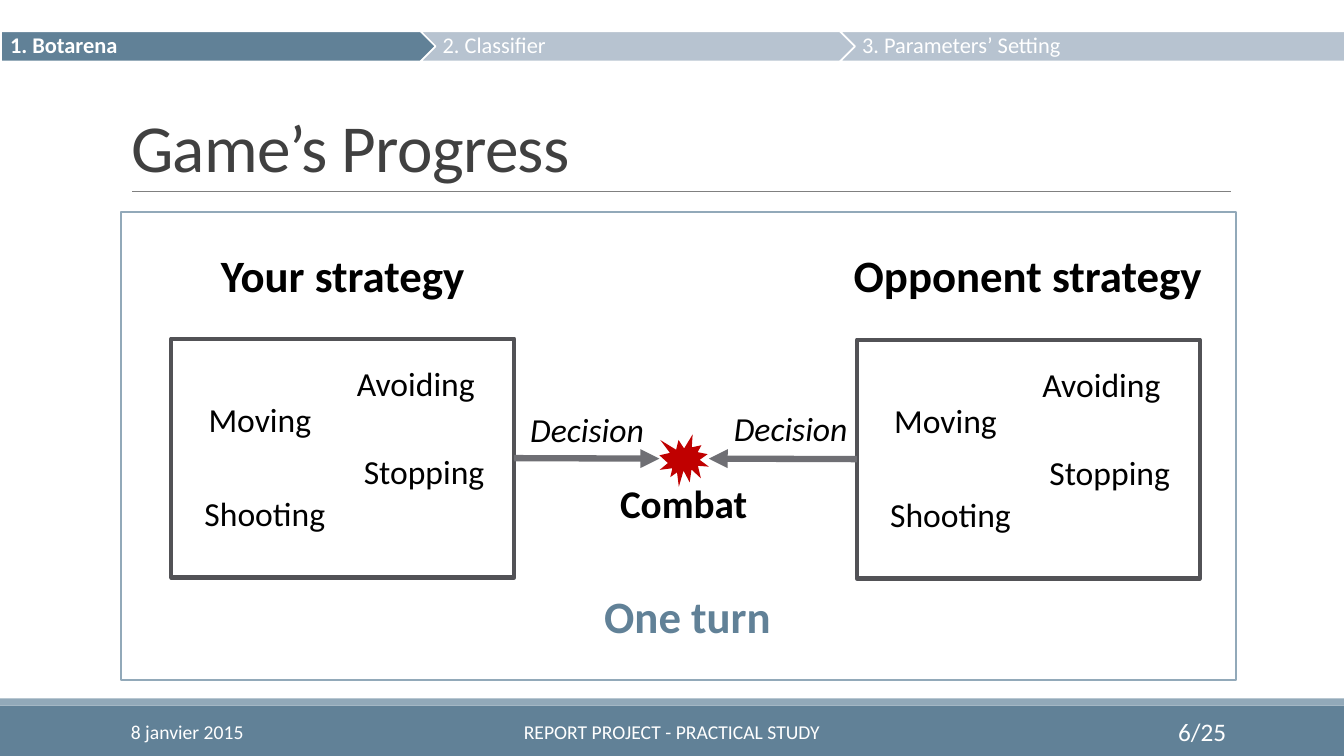
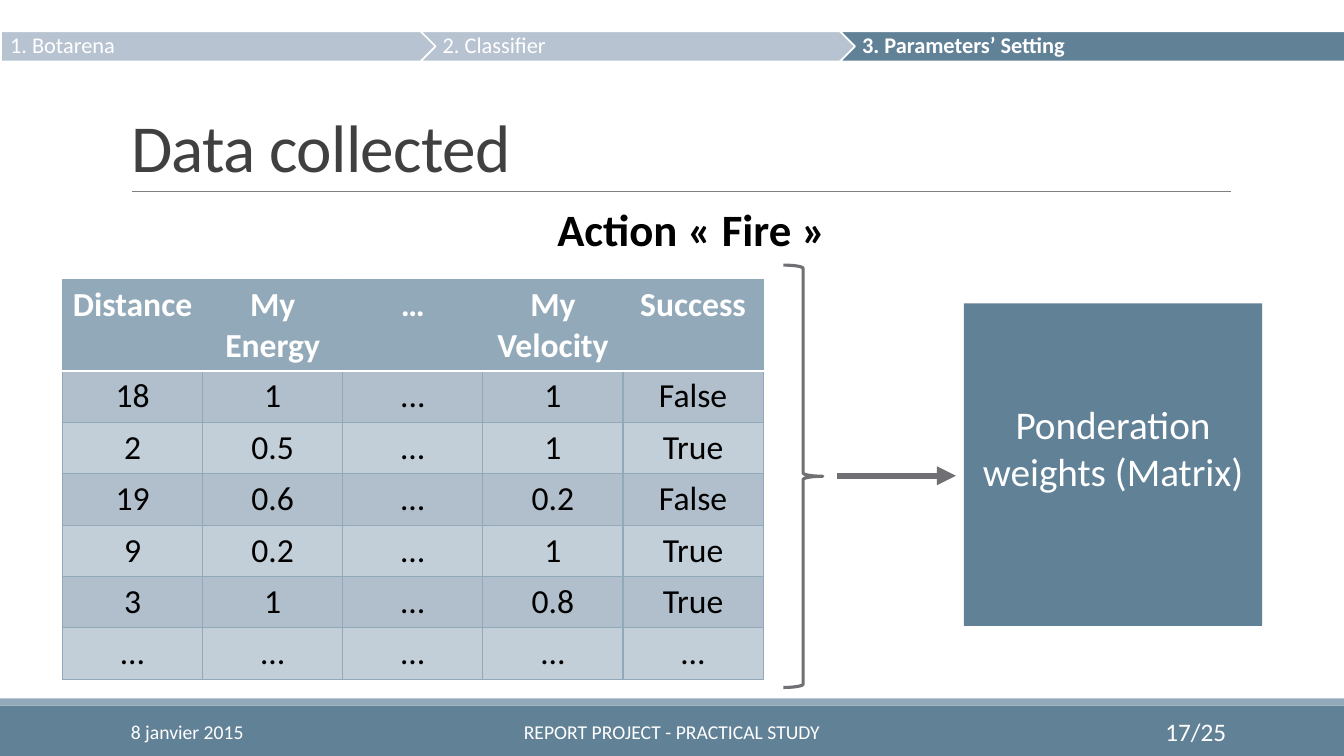
import dataclasses

import lxml.etree
import pptx
import pptx.dml.color
import pptx.enum.shapes
import pptx.enum.text
import pptx.oxml.ns
import pptx.util

SHAPE = pptx.enum.shapes.MSO_SHAPE
ALIGN = pptx.enum.text.PP_ALIGN
ANCHOR = pptx.enum.text.MSO_ANCHOR
EMU_PER_PX = 9144


@dataclasses.dataclass(frozen=True)
class Theme:
    font: str = "Calibri"
    accent: str = "618197"
    accent_mid: str = "92A9B9"
    accent_pale: str = "B7C3D0"
    row_dark: str = "B0BFCB"
    row_light: str = "C3CFD8"
    title: str = "404040"
    text: str = "000000"
    white: str = "FFFFFF"
    rule: str = "808080"
    arrow: str = "6F6F74"
    box: str = "525256"
    burst: str = "C00000"
    title_size: int = 48
    heading_size: int = 32
    label_size: int = 28
    body_size: int = 24
    page_size: int = 18
    step_size: int = 16
    footer_size: int = 14


THEME = Theme()
STEPS = ["1. Botarena", "2. Classifier", "3. Parameters’ Setting"]
MOVES = [("Moving", 27, 55, 127), ("Avoiding", 174, 19, 155),
         ("Stopping", 181, 106, 157), ("Shooting", 23, 148, 157)]
SAMPLES = [
    ["Distance", "My Energy", "…", "My\nVelocity", "Success"],
    ["18", "1", "...", "1", "False"],
    ["2", "0.5", "…", "1", "True"],
    ["19", "0.6", "…", "0.2", "False"],
    ["9", "0.2", "…", "1", "True"],
    ["3", "1", "…", "0.8", "True"],
    ["…"] * 5,
]


def px(*values):
    return [pptx.util.Emu(v * EMU_PER_PX) for v in values]


def rgb(value):
    return pptx.dml.color.RGBColor.from_string(value)


def sub(parent, tag, **attrs):
    return lxml.etree.SubElement(parent, pptx.oxml.ns.qn(tag), attrs)


def write(tf, text, size, color, align=ALIGN.LEFT, bold=False, italic=False):
    tf.text = text
    for p in tf.paragraphs:
        p.alignment = align
        for r in p.runs:
            r.font.name = THEME.font
            r.font.size = pptx.util.Pt(size)
            r.font.color.rgb = rgb(color)
            r.font.bold = bold
            r.font.italic = italic


def add_text(s, box, text, size, color=THEME.text, anchor=ANCHOR.TOP, **style):
    tf = s.shapes.add_textbox(*px(*box)).text_frame
    tf.word_wrap = True
    tf.vertical_anchor = anchor
    write(tf, text, size, color, **style)


def add_shape(s, kind, box, fill=None, line=None, width=1.25):
    sp = s.shapes.add_shape(kind, *px(*box))
    sp.shadow.inherit = False
    if fill:
        sp.fill.solid()
        sp.fill.fore_color.rgb = rgb(fill)
    else:
        sp.fill.background()
    if line:
        sp.line.color.rgb = rgb(line)
        sp.line.width = pptx.util.Pt(width)
    else:
        sp.line.fill.background()
    return sp


def add_line(s, ends, color, width, arrow=False):
    line = s.shapes.add_connector(
        pptx.enum.shapes.MSO_CONNECTOR.STRAIGHT, *px(*ends))
    line.line.color.rgb = rgb(color)
    line.line.width = pptx.util.Pt(width)
    if arrow:
        ln = line.element.find(".//" + pptx.oxml.ns.qn("a:ln"))
        sub(ln, "a:tailEnd", type="triangle")
    sub(line.element.spPr, "a:effectLst")
    return line


def decorate_layout(prs, layout):
    title = layout.placeholders[0]
    title.left, title.top, title.width, title.height = px(120, 31, 1100, 159)
    s = prs.slides[0]
    parts = [
        add_shape(s, SHAPE.RECTANGLE, (0, 700, 1333, 50), THEME.accent),
        add_shape(s, SHAPE.RECTANGLE, (0, 693, 1333, 7), THEME.accent_mid),
        add_line(s, (131, 190, 1221, 190), THEME.rule, 0.5),
    ]
    for part in parts:
        layout.shapes.element.append(part.element)


def add_title(s, text):
    tf = s.shapes.title.text_frame
    tf.auto_size = pptx.enum.text.MSO_AUTO_SIZE.NONE
    tf.vertical_anchor = ANCHOR.BOTTOM
    write(tf, text, THEME.title_size, THEME.title)
    tf.paragraphs[0].line_spacing = 0.85
    for props in s.shapes.title.element.iter(pptx.oxml.ns.qn("a:rPr")):
        props.set("spc", "-50")


def add_footer(s, page):
    for left, width, text, size, align in [
        (120, 270, "8 janvier 2015", THEME.footer_size, ALIGN.LEFT),
        (403, 527, "REPORT PROJECT - PRACTICAL STUDY", THEME.footer_size, ALIGN.CENTER),
        (1083, 143, f"{page}/25", THEME.page_size, ALIGN.RIGHT),
    ]:
        add_text(s, (left, 706, width, 40), text, size, THEME.white,
                 ANCHOR.MIDDLE, align=align)


def add_steps(s, current):
    for i, step in enumerate(STEPS):
        active = i == current
        sp = add_shape(s, SHAPE.CHEVRON if i else SHAPE.PENTAGON,
                       (1 + 416 * i, 31, 519, 30),
                       THEME.accent if active else THEME.accent_pale, THEME.white)
        tf = sp.text_frame
        tf.margin_left, tf.margin_right = px(7 if i else 9, 2)
        tf.vertical_anchor = ANCHOR.MIDDLE
        write(tf, step, THEME.step_size, THEME.white, bold=active)
        tf.paragraphs[0].line_spacing = 0.9


def add_heading(s, box, text, size=THEME.heading_size, color=THEME.text):
    add_text(s, box, text, size, color, align=ALIGN.CENTER, bold=True)


def add_strategy(s, left, top):
    box = add_shape(s, SHAPE.RECTANGLE, (left, top, 340, 237),
                    line=THEME.box, width=3)
    for move, dx, dy, width in MOVES:
        add_text(s, (left + dx, top + dy, width, 50), move, THEME.body_size)
    return box


def set_border(cell, side, color, width):
    ln = sub(cell.get_or_add_tcPr(), f"a:ln{side}", w=str(pptx.util.Pt(width)))
    sub(sub(ln, "a:solidFill"), "a:srgbClr", val=color)


def add_table(s, left, top, rows):
    table = s.shapes.add_table(
        len(rows), len(rows[0]), *px(left, top, 139 * len(rows[0]), 397)).table
    for column in table.columns:
        column.width = px(139)[0]
    for i, values in enumerate(rows):
        table.rows[i].height = px(51 if i else 91)[0]
        fill = THEME.row_dark if i % 2 else THEME.row_light
        for j, value in enumerate(values):
            cell = table.cell(i, j)
            for side in "LRTB":
                below_header = (i, side) in [(0, "B"), (1, "T")]
                set_border(cell._tc, side,
                           THEME.white if below_header else THEME.accent_mid,
                           1.25 if below_header else 1)
            cell.fill.solid()
            cell.fill.fore_color.rgb = rgb(fill if i else THEME.accent_mid)
            write(cell.text_frame, value, THEME.body_size,
                  THEME.text if i else THEME.white, ALIGN.CENTER, bold=i == 0)


def fill_progress(s):
    add_heading(s, (206, 241, 268, 64), "Your strategy")
    add_heading(s, (823, 241, 393, 64), "Opponent strategy")
    add_shape(s, SHAPE.RECTANGLE, (120, 210, 1106, 465), line=THEME.accent_mid)
    add_heading(s, (520, 579, 324, 64), "One turn", color=THEME.accent)
    yours = add_strategy(s, 170, 336)
    theirs = add_strategy(s, 850, 337)
    for box, site, start, end in [(yours, 3, 510, 654), (theirs, 1, 850, 703)]:
        arrow = add_line(s, (start, 455, end, 455), THEME.arrow, 4.5, arrow=True)
        arrow.begin_connect(box, site)
    add_shape(s, SHAPE.EXPLOSION1, (654, 431, 49, 52), THEME.burst)
    for left, top in [(516, 401), (718, 400)]:
        add_text(s, (left, top, 145, 50), "Decision", THEME.body_size, italic=True)
    add_heading(s, (597, 471, 162, 57), "Combat", THEME.label_size)


def fill_data(s):
    add_table(s, 62, 277, SAMPLES)
    matrix = add_shape(s, SHAPE.RECTANGLE, (956, 301, 296, 320), THEME.accent)
    tf = matrix.text_frame
    tf.vertical_anchor = ANCHOR.MIDDLE
    tf.margin_bottom = px(39)[0]
    write(tf, "Ponderation weights (Matrix)", THEME.label_size, THEME.white,
          ALIGN.CENTER)
    add_line(s, (830, 472, 948, 472), THEME.arrow, 4.5, arrow=True)
    add_shape(s, SHAPE.RIGHT_BRACE, (777, 263, 39, 419),
              line=THEME.arrow, width=2.25)
    add_heading(s, (507, 195, 358, 64), "Action « Fire »")


def main():
    prs = pptx.Presentation()
    prs.slide_width, prs.slide_height = px(1333, 750)
    layout = prs.slide_layouts[5]
    for title, page, step, fill in [
        ("Game’s Progress", 6, 0, fill_progress),
        ("Data collected", 17, 2, fill_data),
    ]:
        s = prs.slides.add_slide(layout)
        add_title(s, title)
        add_footer(s, page)
        fill(s)
        add_steps(s, step)
    decorate_layout(prs, layout)
    prs.save("out.pptx")


if __name__ == "__main__":
    main()
